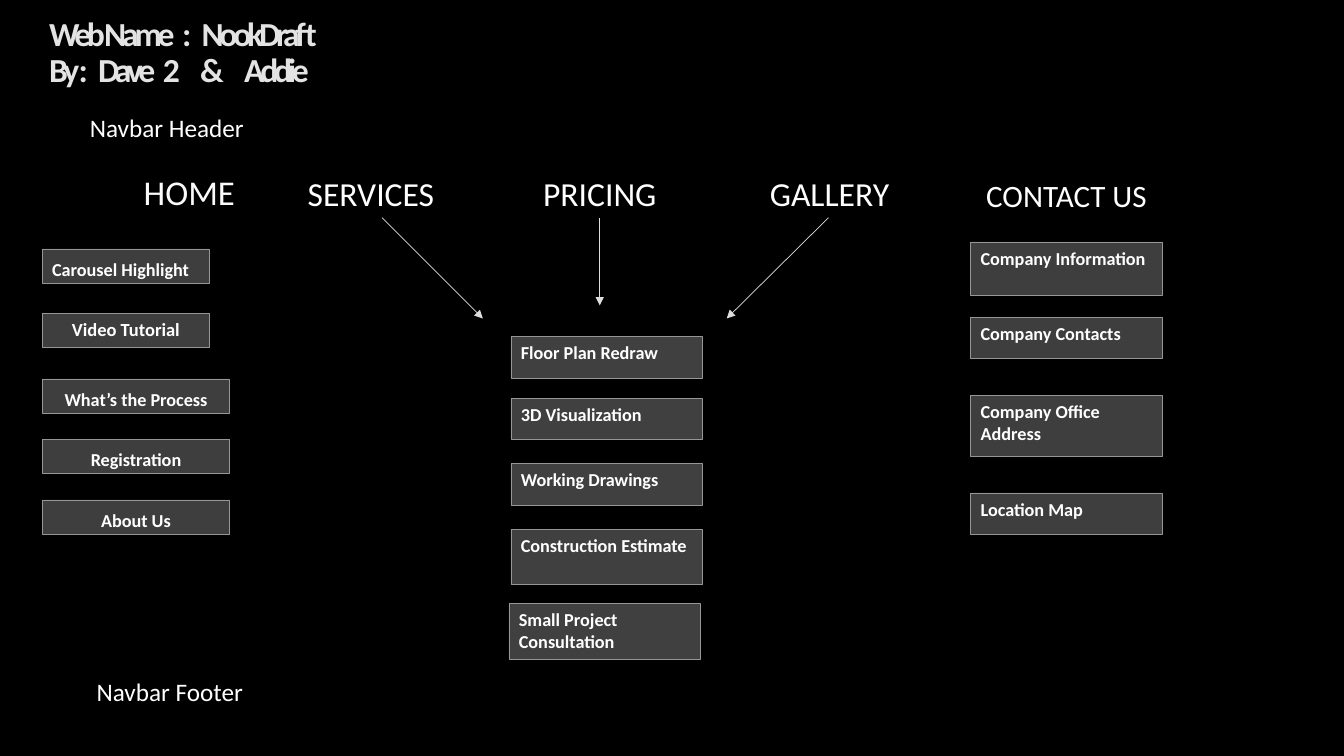
from dataclasses import dataclass

from pptx import Presentation
from pptx.dml.color import RGBColor
from pptx.enum import shapes, text
from pptx.oxml import parse_xml
from pptx.oxml.ns import nsdecls
from pptx.util import Pt


@dataclass(frozen=True)
class Theme:
    font: str = "Calibri"
    black: str = "000000"
    white: str = "FFFFFF"
    home_text: str = "FAFAFA"
    title_text: str = "E3E3E3"
    side_fill: str = "3E3E3E"
    middle_fill: str = "404040"
    border: str = "969696"
    arrow: str = "DDDDDD"
    title_size: float = 24
    home_size: float = 24.8
    menu_size: float = 24
    contact_size: float = 22.2
    navbar_size: float = 18
    item_size: float = 13
    video_size: float = 13.2
    title_tracking: float = -3
    title_space: float = 5.42


@dataclass(frozen=True)
class Box:
    label: str
    left: float
    top: float
    width: float
    height: float
    size: float
    fill: str = "000000"
    line: str = "000000"
    line_width: float = 1
    align: text.PP_ALIGN = text.PP_ALIGN.CENTER
    anchor: text.MSO_ANCHOR = text.MSO_ANCHOR.TOP
    spacing: float = 1
    bold: bool = False
    color: str = "FFFFFF"


@dataclass(frozen=True)
class Arrow:
    start_x: float
    end_x: float
    end_y: float


@dataclass(frozen=True)
class Word:
    label: str
    spaces_after: int = 0


THEME = Theme()
LEFT, RIGHT = text.PP_ALIGN.LEFT, text.PP_ALIGN.RIGHT
MENU_TOP, MENU_WIDTH, MENU_HEIGHT = 117.4, 146.9, 38.2
MENU_BOTTOM = 155.5
HOME_LEFT, HOME_HEIGHT = 30.2, 24.5
LIST_WIDTH = 136.8


def add_words(paragraph, label: str, size: float, color: str, bold: bool):
    run = paragraph.add_run()
    run.text = label
    run.font.name = THEME.font
    run.font.size = Pt(size)
    run.font.bold = bold
    run.font.color.rgb = RGBColor.from_string(color)
    return run


def draw_title(slide, lines: list[list[Word]]) -> None:
    frame = slide.shapes.add_textbox(Pt(28.1), Pt(8.6), Pt(717.1), Pt(71.3)).text_frame
    frame.word_wrap = True
    for index, words in enumerate(lines):
        paragraph = frame.add_paragraph() if index else frame.paragraphs[0]
        paragraph.line_spacing = 0.9
        for word in words:
            pieces = [(word.label, THEME.title_tracking)]
            if word.spaces_after:
                gap = word.spaces_after * (THEME.title_space + THEME.title_tracking)
                pieces.append((" ", gap - THEME.title_space))
            for label, tracking in pieces:
                run = add_words(paragraph, label, THEME.title_size, THEME.title_text, True)
                run.font._element.set("spc", str(round(tracking * 100)))


def draw_box(slide, box: Box) -> None:
    panel = slide.shapes.add_shape(
        shapes.MSO_SHAPE.RECTANGLE, Pt(box.left), Pt(box.top), Pt(box.width), Pt(box.height)
    )
    panel.shadow.inherit = False
    panel.fill.solid()
    panel.fill.fore_color.rgb = RGBColor.from_string(box.fill)
    panel.line.color.rgb = RGBColor.from_string(box.line)
    panel.line.width = Pt(box.line_width)
    frame = panel.text_frame
    frame.word_wrap = True
    frame.vertical_anchor = box.anchor
    paragraph = frame.paragraphs[0]
    paragraph.alignment = box.align
    paragraph.line_spacing = box.spacing
    add_words(paragraph, box.label, box.size, box.color, box.bold)


def draw_item(slide, label: str, left: float, top: float, width: float, height: float,
              fill: str = THEME.side_fill, size: float = THEME.item_size,
              align: text.PP_ALIGN = LEFT, spacing: float = 1) -> None:
    draw_box(slide, Box(label, left, top, width, height, size, fill, THEME.border, 0.5,
                        align, spacing=spacing, bold=True))


def draw_arrow(slide, arrow: Arrow) -> None:
    link = slide.shapes.add_connector(
        shapes.MSO_CONNECTOR.STRAIGHT, Pt(arrow.start_x), Pt(MENU_BOTTOM),
        Pt(arrow.end_x), Pt(arrow.end_y)
    )
    link.line.color.rgb = RGBColor.from_string(THEME.arrow)
    link.line.width = Pt(0.5)
    link.line._get_or_add_ln().append(parse_xml(f'<a:tailEnd {nsdecls("a")} type="triangle"/>'))
    link._element.spPr.append(parse_xml(f'<a:effectLst {nsdecls("a")}/>'))


deck = Presentation()
deck.slide_width, deck.slide_height = Pt(960), Pt(540)
sitemap = deck.slides.add_slide(deck.slide_layouts[6])
sitemap.background.fill.solid()
sitemap.background.fill.fore_color.rgb = RGBColor.from_string(THEME.black)

draw_title(sitemap, [
    [Word("Web", 1), Word("Name", 2), Word(":", 3), Word("NookDraft")],
    [Word("By", 1), Word(":", 3), Word("Dave", 2), Word("2", 6), Word("&", 6), Word("Addie")],
])

draw_box(sitemap, Box("HOME", 28.1, MENU_TOP, MENU_WIDTH, MENU_HEIGHT, THEME.home_size,
                      align=RIGHT, anchor=text.MSO_ANCHOR.BOTTOM, color=THEME.home_text))
for label, left, size, spacing in [
    ("SERVICES", 191.5, THEME.menu_size, 1.1),
    ("PRICING", 355, THEME.menu_size, 1.1),
    ("GALLERY", 519.1, THEME.menu_size, 1.1),
    ("CONTACT US", 688.3, THEME.contact_size, 1.2),
]:
    draw_box(sitemap, Box(label, left, MENU_TOP, MENU_WIDTH, MENU_HEIGHT, size, spacing=spacing))

for label, left, top in [("Navbar Header", 28.1, 72.7), ("Navbar Footer", 30.2, 475.2)]:
    draw_box(sitemap, Box(label, left, top, 182.2, 36, THEME.navbar_size, spacing=1.2))

draw_item(sitemap, "Carousel Highlight", HOME_LEFT, 177.8, 119.5, HOME_HEIGHT, spacing=1.2)
draw_item(sitemap, "Video Tutorial", HOME_LEFT, 223.9, 119.5, HOME_HEIGHT,
          size=THEME.video_size, align=text.PP_ALIGN.CENTER)
for row, label in enumerate(["What’s the Process", "Registration", "About Us"]):
    draw_item(sitemap, label, HOME_LEFT, 270.7 + row * 43.2, 133.9, HOME_HEIGHT,
              align=text.PP_ALIGN.CENTER, spacing=1.2)

for label, left, top, height in [
    ("Floor Plan Redraw", 365, 240.5, 29.5),
    ("3D Visualization", 365, 284.4, 29.5),
    ("Working Drawings", 365, 331.2, 29.5),
    ("Construction Estimate", 365, 378, 39.6),
    ("Small Project Consultation", 363.6, 431.3, 39.6),
]:
    draw_item(sitemap, label, left, top, LIST_WIDTH, height, THEME.middle_fill)

for label, top, height in [
    ("Company Information", 172.8, 38.2),
    ("Company Contacts", 226.8, 29.5),
    ("Company Office Address", 282.2, 43.9),
    ("Location Map", 352.1, 29.5),
]:
    draw_item(sitemap, label, 693.4, top, LIST_WIDTH, height)

for arrow in [Arrow(272.9, 344.9, 227.5), Arrow(428.4, 428.4, 218.2), Arrow(591.8, 519.1, 227.5)]:
    draw_arrow(sitemap, arrow)

deck.save("out.pptx")
